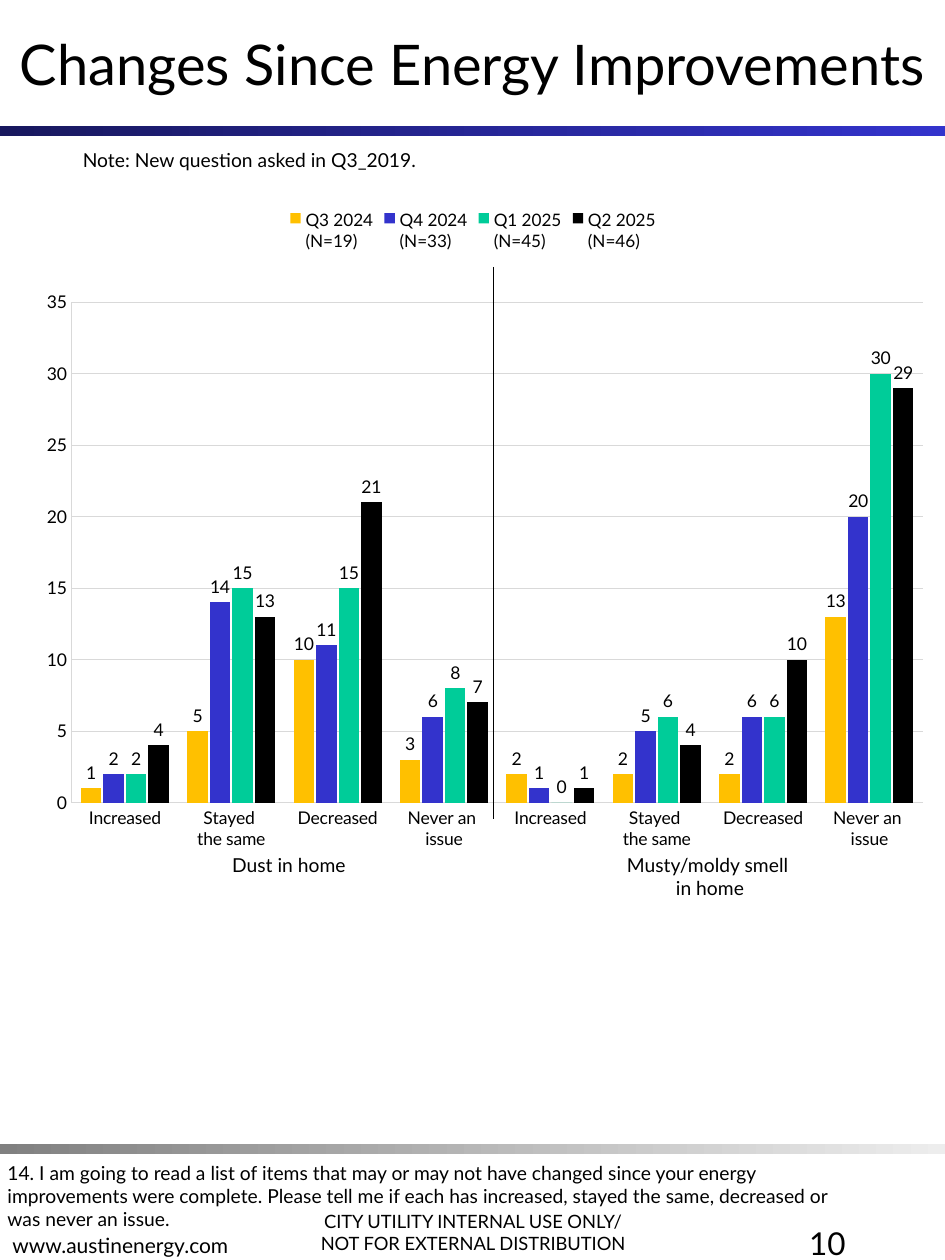
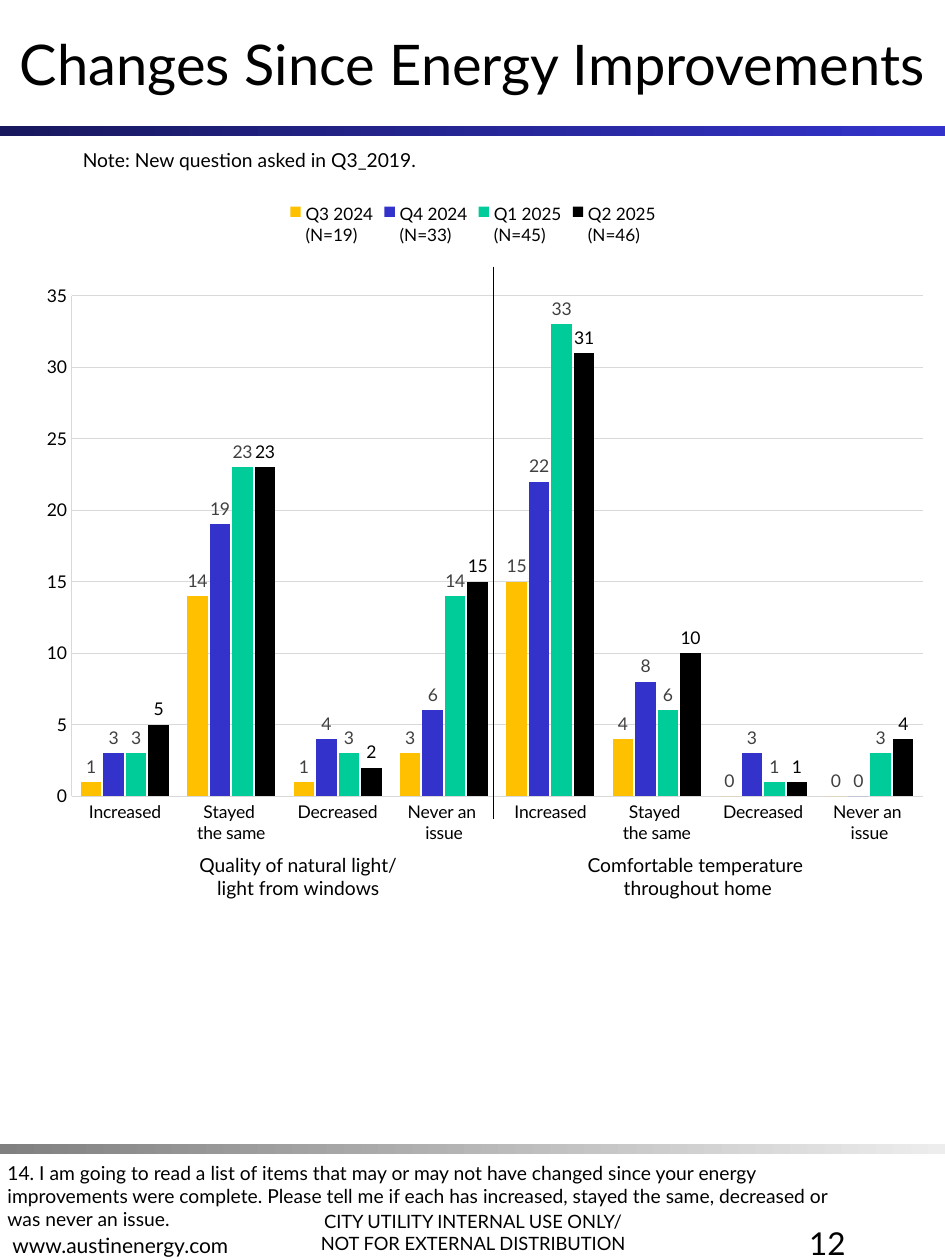
from lxml import etree
from pptx import Presentation
from pptx.chart.data import CategoryChartData
from pptx.dml.color import RGBColor
from pptx.enum import chart as charts, shapes, text
from pptx.oxml import ns
from pptx.util import Cm, Pt

BLACK = RGBColor(0x00, 0x00, 0x00)
DARK_GREY = RGBColor(0x40, 0x40, 0x40)
GREY = RGBColor(0x80, 0x80, 0x80)
GRID_GREY = RGBColor(0xD9, 0xD9, 0xD9)
PALE_GREY = RGBColor(0xED, 0xED, 0xED)
NAVY = RGBColor(0x18, 0x18, 0x5E)
BLUE = RGBColor(0x33, 0x33, 0xCC)
GREEN = RGBColor(0x00, 0xCC, 0x99)
AMBER = RGBColor(0xFF, 0xC0, 0x00)

FONT = "Lato"
WIDTH, HEIGHT = Cm(19.05), Cm(25.4)
BAND_HEIGHT = Cm(0.2)
PLOT_AREA = {"x": 0.069, "y": 0.143, "w": 0.914, "h": 0.671}

TITLE = "Changes Since Energy Improvements"
NOTE = "Note: New question asked in Q3_2019."
QUESTION = ("14. I am going to read a list of items that may or may not have changed "
            "since your energy improvements were complete. Please tell me if each has "
            "increased, stayed the same, decreased or was never an issue.")
NOTICE = "CITY UTILITY INTERNAL USE ONLY/\nNOT FOR EXTERNAL DISTRIBUTION"
WEBSITE = "www.austinenergy.com"

ANSWERS = ["Increased", "Stayed \nthe same", "Decreased", "Never an \nissue"]
QUARTERS = [("Q3 2024\n(N=19)", AMBER), ("Q4 2024\n(N=33)", BLUE),
            ("Q1 2025\n(N=45)", GREEN), ("Q2 2025\n(N=46)", BLACK)]

PAGES = [
    {
        "number": "10",
        "chart_top": Cm(3.94),
        "label_colors": [BLACK] * 4,
        "values": [(1, 5, 10, 3, 2, 2, 2, 13), (2, 14, 11, 6, 1, 5, 6, 20),
                   (2, 15, 15, 8, 0, 6, 6, 30), (4, 13, 21, 7, 1, 4, 10, 29)],
        "topics": [("Dust in home", Cm(4.01), Cm(3.63)),
                   ("Musty/moldy smell \nin home", Cm(12.5), Cm(3.63))],
    },
    {
        "number": "12",
        "chart_top": Cm(3.81),
        "label_colors": [DARK_GREY] * 3 + [BLACK],
        "values": [(1, 14, 1, 3, 15, 4, 0, 0), (3, 19, 4, 6, 22, 8, 3, 0),
                   (3, 23, 3, 14, 33, 6, 1, 3), (5, 23, 2, 15, 31, 10, 1, 4)],
        "topics": [("Quality of natural light/\nlight from windows", Cm(4.01), Cm(4.01)),
                   ("Comfortable temperature \nthroughout home", Cm(11.63), Cm(4.88))],
    },
]


def style_font(font, size, color=BLACK):
    font.name = FONT
    font.size = Pt(size)
    font.color.rgb = color


def style_line(line, color, width):
    line.color.rgb = color
    line.width = Pt(width)


def fix_plot_area(chart):
    """Pin the inner plot area to fixed fractions of the chart."""
    plot_area = chart._chartSpace.chart.plotArea
    for old in plot_area.findall(ns.qn("c:layout")):
        plot_area.remove(old)
    layout = etree.Element(ns.qn("c:layout"))
    manual = etree.SubElement(layout, ns.qn("c:manualLayout"))
    settings = {"layoutTarget": "inner", "xMode": "edge", "yMode": "edge", **PLOT_AREA}
    for name, value in settings.items():
        etree.SubElement(manual, ns.qn(f"c:{name}")).set("val", str(value))
    plot_area.insert(0, layout)


class SurveyDeck:
    def __init__(self):
        self.presentation = Presentation()
        self.presentation.slide_width = WIDTH
        self.presentation.slide_height = HEIGHT
        self.slide = None

    def start_slide(self, number):
        """Add a slide with the title, bands and footers that all pages share."""
        layout = self.presentation.slide_layouts[5]
        self.slide = self.presentation.slides.add_slide(layout)
        self.band(Cm(2.54), NAVY, BLUE)
        self.band(Cm(23.06), GREY, PALE_GREY)
        bottom = text.MSO_ANCHOR.BOTTOM
        self.text(NOTICE, Cm(5.49), Cm(23.7), Cm(8.1), Cm(1.7), 10.5,
                  text.PP_ALIGN.CENTER, bottom)
        self.text(WEBSITE, Cm(0), Cm(23.77), Cm(8.1), Cm(1.7), 12, anchor=bottom)
        self.title(TITLE)
        self.text(number, Cm(13.34), Cm(24.56), Cm(3.96), Cm(1.7), 18,
                  text.PP_ALIGN.RIGHT)

    def title(self, words):
        shape = self.slide.shapes.title
        shape.left, shape.top, shape.width, shape.height = Cm(0), Cm(0), WIDTH, Cm(2.54)
        self.fill_frame(shape.text_frame, words, 32, text.PP_ALIGN.CENTER,
                        text.MSO_ANCHOR.MIDDLE)

    def band(self, top, start, end):
        shape = self.slide.shapes.add_shape(
            shapes.MSO_SHAPE.RECTANGLE, Cm(0), top, WIDTH, BAND_HEIGHT)
        shape.shadow.inherit = False
        shape.line.fill.background()
        shape.fill.gradient()
        shape.fill.gradient_angle = 0
        for stop, color, position in zip(shape.fill.gradient_stops, (start, end), (0, 1)):
            stop.color.rgb = color
            stop.position = position

    def text(self, words, left, top, width, height, size,
             alignment=text.PP_ALIGN.LEFT, anchor=text.MSO_ANCHOR.TOP, wrap=True):
        shape = self.slide.shapes.add_textbox(left, top, width, height)
        self.fill_frame(shape.text_frame, words, size, alignment, anchor, wrap)

    def fill_frame(self, frame, words, size, alignment, anchor, wrap=True):
        frame.text = words
        frame.word_wrap = wrap
        frame.auto_size = text.MSO_AUTO_SIZE.NONE
        frame.vertical_anchor = anchor
        for paragraph in frame.paragraphs:
            paragraph.alignment = alignment
            style_font(paragraph.font, size)

    def column_chart(self, top, values, label_colors):
        data = CategoryChartData()
        data.categories = ANSWERS * 2
        for (name, _), counts in zip(QUARTERS, values):
            data.add_series(name, counts)
        chart = self.slide.shapes.add_chart(
            charts.XL_CHART_TYPE.COLUMN_CLUSTERED, Cm(0.15), top,
            Cm(18.77), Cm(15.04), data).chart
        style_font(chart.font, 10)
        chart.has_title = False
        chart.has_legend = True
        chart.legend.position = charts.XL_LEGEND_POSITION.TOP
        chart.legend.include_in_layout = False
        style_font(chart.legend.font, 9.8)
        fix_plot_area(chart)

        for axis, width in ((chart.category_axis, 0.62), (chart.value_axis, 0.41)):
            axis.major_tick_mark = axis.minor_tick_mark = charts.XL_TICK_MARK.NONE
            style_font(axis.tick_labels.font, 10)
            style_line(axis.format.line, GRID_GREY, width)
        value_axis = chart.value_axis
        value_axis.minimum_scale, value_axis.maximum_scale = 0, 35
        value_axis.major_unit = 5
        style_line(value_axis.major_gridlines.format.line, GRID_GREY, 0.62)

        plot = chart.plots[0]
        plot.gap_width, plot.overlap = 90, -10
        plot.vary_by_categories = False
        for series, (_, color), label_color in zip(plot.series, QUARTERS, label_colors):
            series.format.fill.solid()
            series.format.fill.fore_color.rgb = color
            labels = series.data_labels
            labels.show_value = True
            labels.position = charts.XL_LABEL_POSITION.OUTSIDE_END
            style_font(labels.font, 10, label_color)

    def topic_divider(self):
        line = self.slide.shapes.add_connector(
            shapes.MSO_CONNECTOR.STRAIGHT, Cm(9.95), Cm(5.38), Cm(9.95), Cm(16.51))
        style_line(line.line, BLACK, 0.25)
        etree.SubElement(line._element.spPr, ns.qn("a:effectLst"))


def main():
    deck = SurveyDeck()
    for page in PAGES:
        deck.start_slide(page["number"])
        deck.text(NOTE, Cm(1.42), Cm(2.87), Cm(16.36), Cm(0.74), 11)
        deck.text(QUESTION, Cm(-0.1), Cm(23.29), Cm(17.4), Cm(1.68), 11)
        deck.column_chart(page["chart_top"], page["values"], page["label_colors"])
        for topic, left, width in page["topics"]:
            deck.text(topic, left, Cm(17.07), width, Cm(1.2), 11,
                      text.PP_ALIGN.CENTER, wrap=False)
        deck.topic_divider()
    deck.presentation.save("out.pptx")


if __name__ == "__main__":
    main()
